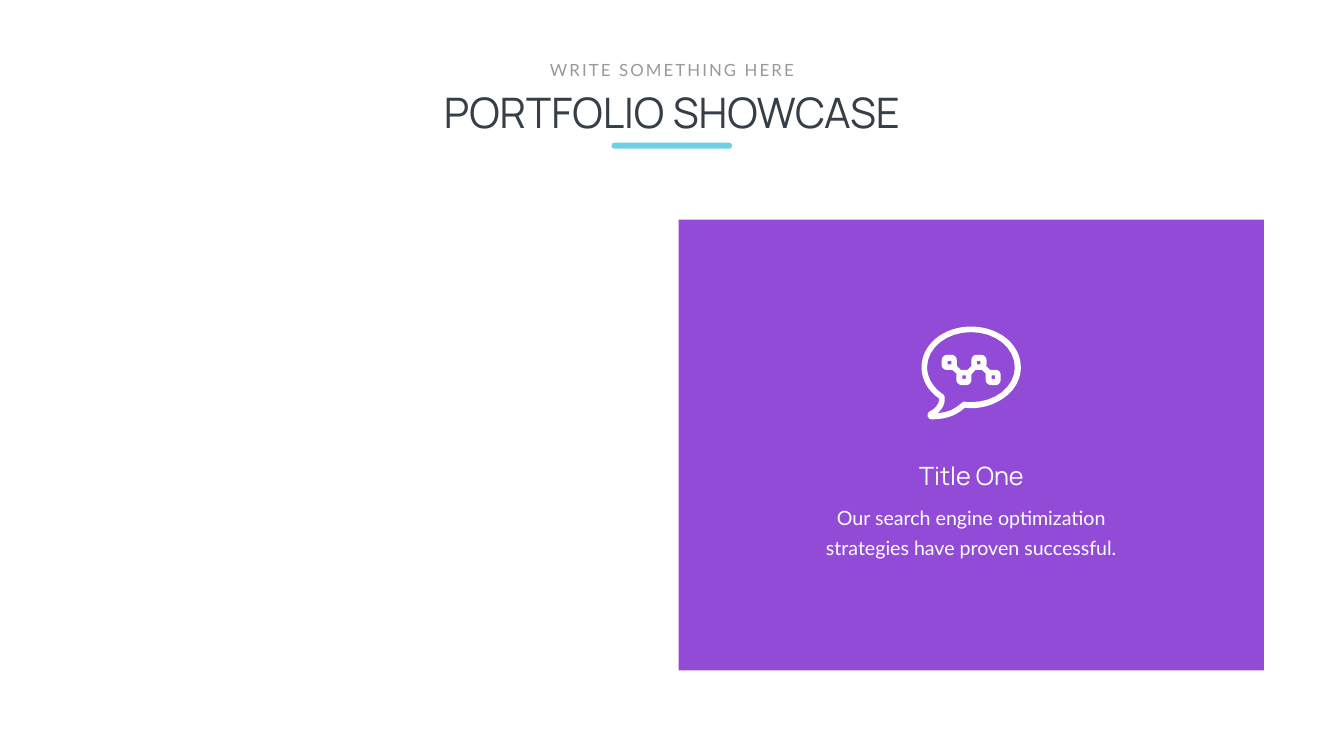
from pptx import Presentation
from pptx.dml.color import RGBColor
from pptx.enum.shapes import MSO_SHAPE
from pptx.enum.text import MSO_ANCHOR, MSO_AUTO_SIZE, PP_ALIGN
from pptx.util import Inches, Pt

COLS, ROWS = 26.66, 15
HUES = {"card": "914BD7", "ink": "363E48", "grey": "999999", "bar": "6CD1E5", "white": "FFFFFF"}

BUBBLE = [
    [(168, 23), (149, 8, 125, 0, 98, 0), (72, 0, 48, 8, 29, 23), (10, 39, 0, 59, 0, 81),
     (0, 104, 12, 127, 34, 142), (35, 143, 35, 144, 35, 144), (35, 151, 30, 161, 17, 168),
     (14, 170, 12, 172, 12, 176), (12, 178, 13, 180, 15, 182), (16, 184, 19, 184, 21, 184),
     (42, 184, 65, 180, 86, 161), (90, 161, 94, 162, 98, 162), (125, 162, 149, 153, 168, 138),
     (187, 123, 197, 102, 197, 81), (197, 59, 187, 39, 168, 23)],
    [(98, 150), (94, 150, 90, 150, 86, 149), (83, 149, 81, 150, 79, 152),
     (71, 159, 62, 165, 52, 168), (45, 170, 39, 171, 31, 172), (34, 170, 37, 167, 39, 164),
     (44, 158, 46, 151, 46, 144), (46, 142, 46, 141, 46, 139), (45, 137, 44, 135, 42, 134),
     (23, 121, 11, 101, 11, 81), (11, 42, 50, 11, 98, 11), (147, 11, 185, 42, 185, 81),
     (185, 119, 147, 150, 98, 150)],
]
CHAIN = [
    (107, 30), (96, 30), (88, 22), (89, 20), (89, 11), (89, 5, 84, 0, 78, 0), (69, 0),
    (63, 0, 59, 5, 59, 11), (59, 22), (51, 30), (38, 30), (30, 22), (30, 11),
    (30, 5, 25, 0, 20, 0), (11, 0), (5, 0, 0, 5, 0, 11), (0, 20), (0, 26, 5, 30, 11, 30),
    (21, 30), (30, 38), (29, 40), (29, 49), (29, 55, 34, 60, 40, 60), (49, 60),
    (55, 60, 59, 55, 59, 49), (59, 39), (67, 30), (80, 30), (88, 38), (87, 40), (87, 49),
    (87, 55, 92, 60, 98, 60), (107, 60), (113, 60, 117, 55, 117, 49), (117, 40),
    (117, 34, 113, 30, 107, 30),
]


def square(x, y, side):
    return [(x, y), (x + side, y), (x + side, y + side), (x, y + side)]


def trace(steps, parts=8):
    dots = [steps[0]]
    for step in steps[1:]:
        if len(step) == 2:
            dots.append(step)
            continue
        ends = [dots[-1], step[:2], step[2:4], step[4:]]
        for i in range(1, parts + 1):
            t = i / parts
            share = ((1 - t) ** 3, 3 * t * (1 - t) ** 2, 3 * t * t * (1 - t), t ** 3)
            dots.append(tuple(sum(s * e[k] for s, e in zip(share, ends)) for k in (0, 1)))
    return dots


class Deck:
    def __init__(self):
        self.show = Presentation()
        self.show.slide_width, self.show.slide_height = Inches(COLS), Inches(ROWS)
        self.slide = self.show.slides.add_slide(self.show.slide_layouts[5])
        self.shapes = self.slide.shapes

    def hue(self, name):
        return RGBColor.from_string(HUES[name])

    def paint(self, shape, hue):
        shape.shadow.inherit = False
        shape.fill.solid()
        shape.fill.fore_color.rgb = self.hue(hue)
        shape.line.fill.background()

    def block(self, area, hue, kind=MSO_SHAPE.RECTANGLE):
        shape = self.shapes.add_shape(kind, *map(Inches, area))
        self.paint(shape, hue)
        return shape

    def words(self, shape, text, size, face, hue, wrap=True, pad=(0.1, 0.05)):
        frame = shape.text_frame
        frame.word_wrap = wrap
        frame.auto_size = MSO_AUTO_SIZE.SHAPE_TO_FIT_TEXT
        frame.vertical_anchor = MSO_ANCHOR.TOP
        frame.margin_left = frame.margin_right = Inches(pad[0])
        frame.margin_top = frame.margin_bottom = Inches(pad[1])
        para = frame.paragraphs[0]
        para.alignment = PP_ALIGN.CENTER
        run = para.add_run()
        run.text = text
        run.font.size, run.font.name = Pt(size), face
        run.font.color.rgb = self.hue(hue)
        return para

    def title(self, area, *style):
        shape = self.shapes.title
        shape.left, shape.top, shape.width, shape.height = map(Inches, area)
        return self.words(shape, *style)

    def label(self, area, *style, **more):
        return self.words(self.shapes.add_textbox(*map(Inches, area)), *style, **more)

    def icon(self, col, row, outlines, hue):
        pen = None
        for steps in outlines:
            dots = [(Inches(col + x / 100), Inches(row + y / 100)) for x, y in trace(steps)]
            if pen is None:
                pen = self.shapes.build_freeform(*dots[0])
            else:
                pen.move_to(*dots[0])
            pen.add_line_segments(dots[1:], close=True)
        self.paint(pen.convert_to_shape(), hue)


def main():
    deck = Deck()
    deck.block((13.46, 4.36, 11.61, 8.94), "card")
    deck.title((5.3, 1.67, 16.06, 1.11), "PORTFOLIO SHOWCASE", 60, "Manrope", "ink")
    lead = deck.label((10.76, 1.13, 5.14, 0.5), "WRITE SOMETHING HERE", 24, "Lato", "grey", wrap=False)
    lead.runs[0].font._element.set("spc", "300")
    bar = deck.block((12.13, 2.83, 2.39, 0.12), "bar", MSO_SHAPE.ROUNDED_RECTANGLE)
    bar.adjustments[0] = 0.5
    deck.label((18.06, 9.09, 2.42, 0.71), "Title One", 36, "Manrope", "white", wrap=False)
    note = deck.label((16.1, 9.79, 6.33, 1.39),
                      "Our search engine optimization strategies have proven successful.",
                      28, "Lato", "white", pad=(0.24, 0.12))
    note.line_spacing = Pt(43)
    deck.icon(18.28, 6.48, BUBBLE, "white")
    holes = [square(12 + 29 * i, 12 + 29 * (i % 2), 7) for i in range(4)]
    deck.icon(18.68, 7.04, [CHAIN] + holes, "white")
    deck.show.save("out.pptx")


if __name__ == "__main__":
    main()
